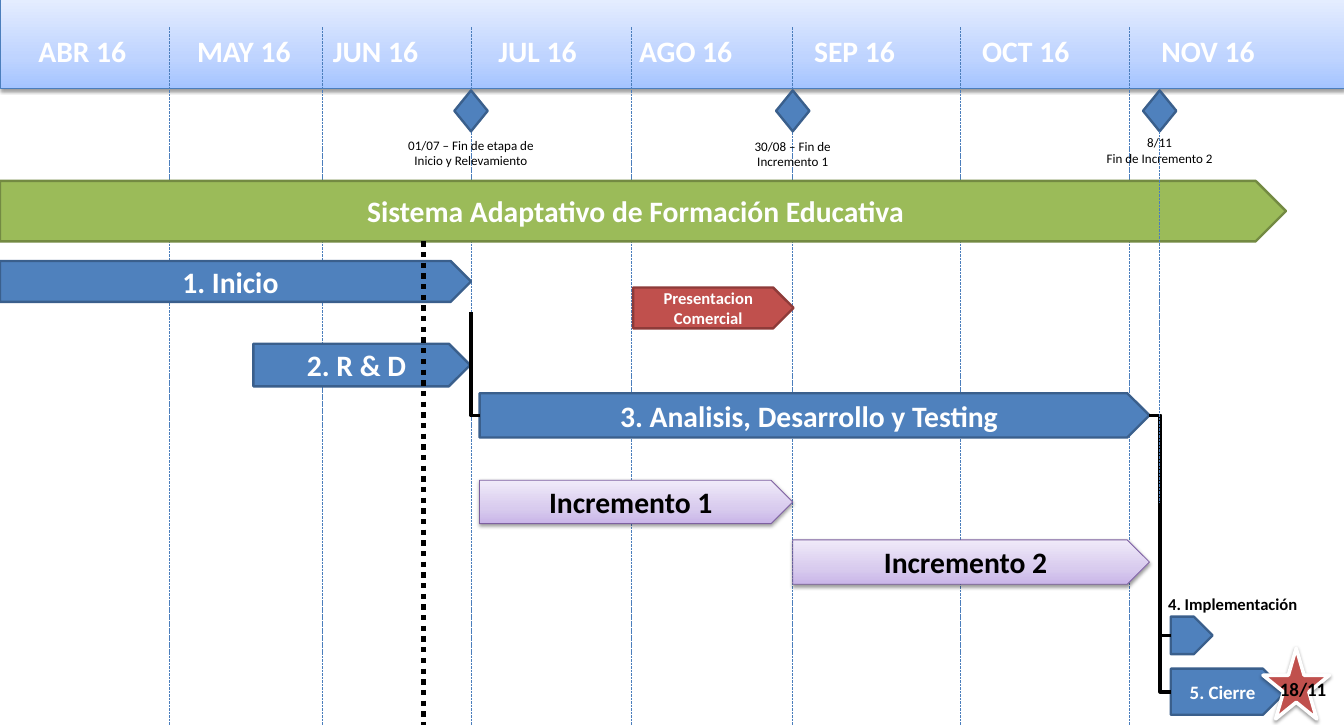
from copy import deepcopy
from dataclasses import dataclass
from typing import Optional

from lxml.etree import SubElement
from pptx import Presentation
from pptx.dml.color import RGBColor
from pptx.enum.dml import MSO_LINE
from pptx.enum.shapes import MSO_CONNECTOR, MSO_SHAPE
from pptx.enum.text import MSO_ANCHOR, MSO_AUTO_SIZE, PP_ALIGN
from pptx.oxml.ns import qn
from pptx.util import Inches, Pt

COLORS = {
    "white": "FFFFFF", "black": "000000", "grid": "4B7EBC",
    "blue": "4F81BD", "blue_edge": "3A5F8C",
    "green": "9BBB59", "green_edge": "738A42",
    "red": "C0504D", "red_edge": "8E3B39", "purple_edge": "7D60A0",
    "sky_0": "A4C4FF", "sky_1": "BFD4FF", "sky_2": "E6EEFF",
    "lilac_0": "C9B5E8", "lilac_1": "D8CBEE", "lilac_2": "F0EAF9",
}
GRADIENTS = ("sky", "lilac")
FONT = "Calibri"
WIDTH, HEIGHT = 15.75, 8.5
GRID_TOP = 0.32
WIDE_INSET = (0.14, 0.07)
BOX_INSET = (0.1, 0.05)


@dataclass
class Month:
    text: str
    left: float
    grid: Optional[float] = None


@dataclass
class Bar:
    text: str
    left: float
    top: float
    width: float
    height: float
    fill: str = "blue"
    edge: str = "blue_edge"
    size: int = 25
    color: str = "white"


@dataclass
class Milestone:
    lines: tuple
    center: float
    text_top: float


MONTHS = [
    Month("ABR 16", 0.31, 1.98), Month("MAY 16", 2.17, 3.78),
    Month("JUN 16", 3.76, 5.52), Month("JUL 16", 5.7, 7.4),
    Month("AGO 16", 7.35, 9.29), Month("SEP 16", 9.4, 11.26),
    Month("OCT 16", 11.37, 13.23), Month("NOV 16", 13.47),
]
BARS = [
    Bar("Sistema Adaptativo de Formación Educativa", 0, 2.12, 15.07, 0.71, "green", "green_edge"),
    Bar("1. Inicio", 0, 3.06, 5.52, 0.48),
    Bar("2. R & D", 2.97, 4.03, 2.54, 0.5),
    Bar("3. Analisis, Desarrollo y Testing", 5.62, 4.61, 7.85, 0.52),
    Bar("", 13.72, 7.23, 0.49, 0.44),
    Bar("5. Cierre", 13.72, 7.84, 1.35, 0.54, size=16),
    Bar("Incremento 1", 5.62, 5.63, 3.67, 0.51, "lilac", "purple_edge", color="black"),
    Bar("Incremento 2", 9.29, 6.33, 4.18, 0.52, "lilac", "purple_edge", color="black"),
    Bar("Presentacion Comercial", 7.42, 3.37, 1.88, 0.48, "red", "red_edge", 14),
]
MILESTONES = [
    Milestone(("01/07 – Fin de etapa de Inicio y Relevamiento",), 5.52, 1.56),
    Milestone(("30/08 – Fin de Incremento 1",), 9.29, 1.57),
    Milestone(("8/11", "Fin de Incremento 2"), 13.59, 1.53),
]


def rgb(name: str) -> RGBColor:
    return RGBColor.from_string(COLORS[name])


def add_shadow(sp) -> None:
    effects = sp._element.spPr.find(qn("a:effectLst"))
    shadow = SubElement(effects, qn("a:outerShdw"), blurRad="40000", dist="20000",
                        dir="5400000", rotWithShape="0")
    color = SubElement(shadow, qn("a:srgbClr"), val=COLORS["black"])
    SubElement(color, qn("a:alpha"), val="38000")


def add_gradient(sp, name: str) -> None:
    sp.fill.gradient()
    sp.fill.gradient_angle = 90
    stops = sp._element.spPr.find(".//" + qn("a:gsLst"))
    stops.append(deepcopy(stops[0]))
    for i, (stop, position) in enumerate(zip(sp.fill.gradient_stops, (0, 0.35, 1))):
        stop.color.rgb = rgb(f"{name}_{i}")
        stop.position = position


def add_figure(s, kind, left: float, top: float, width: float, height: float,
               fill: str, edge: str, weight: float = 2, shadow: bool = False):
    sp = s.shapes.add_shape(kind, Inches(left), Inches(top), Inches(width), Inches(height))
    sp.shadow.inherit = False
    if fill in GRADIENTS:
        add_gradient(sp, fill)
    else:
        sp.fill.solid()
        sp.fill.fore_color.rgb = rgb(fill)
    sp.line.color.rgb = rgb(edge)
    sp.line.width = Pt(weight)
    if shadow:
        add_shadow(sp)
    return sp


def write(sp, *lines: str, size: int, color: str = "black", bold: bool = True,
          align=PP_ALIGN.LEFT, anchor=MSO_ANCHOR.TOP, inset: tuple = BOX_INSET) -> None:
    tf = sp.text_frame
    tf.word_wrap = True
    tf.vertical_anchor = anchor
    tf.margin_left = tf.margin_right = Inches(inset[0])
    tf.margin_top = tf.margin_bottom = Inches(inset[1])
    for i, line in enumerate(lines):
        p = tf.add_paragraph() if i else tf.paragraphs[0]
        p.alignment = align
        r = p.add_run()
        r.text = line
        r.font.name = FONT
        r.font.size = Pt(size)
        r.font.bold = bold
        r.font.color.rgb = rgb(color)


def add_label(s, left: float, top: float, width: float, height: float, *lines: str, **style) -> None:
    sp = s.shapes.add_textbox(Inches(left), Inches(top), Inches(width), Inches(height))
    write(sp, *lines, **style)
    sp.text_frame.auto_size = MSO_AUTO_SIZE.SHAPE_TO_FIT_TEXT


def add_line(s, x1: float, y1: float, x2: float, y2: float, color: str = "grid",
             weight: float = 0.75, dash=None, kind=MSO_CONNECTOR.STRAIGHT):
    line = s.shapes.add_connector(kind, Inches(x1), Inches(y1), Inches(x2), Inches(y2))
    line.line.color.rgb = rgb(color)
    line.line.width = Pt(weight)
    if dash is not None:
        line.line.dash_style = dash
    SubElement(line._element.spPr, qn("a:effectLst"))
    return line


def add_elbow(s, x1: float, y1: float, x2: float, y2: float, bend: int = 50000):
    line = add_line(s, x1, y1, x2, y2, "black", 3, kind=MSO_CONNECTOR.ELBOW)
    guides = line._element.spPr.find(".//" + qn("a:avLst"))
    SubElement(guides, qn("a:gd"), name="adj1", fmla=f"val {bend}")
    return line


def add_bar(s, bar: Bar):
    soft = bar.fill in GRADIENTS
    sp = add_figure(s, MSO_SHAPE.PENTAGON, bar.left, bar.top, bar.width, bar.height,
                    bar.fill, bar.edge, 0.75 if soft else 2, soft)
    if bar.text:
        write(sp, bar.text, size=bar.size, color=bar.color, align=PP_ALIGN.CENTER,
              anchor=MSO_ANCHOR.MIDDLE, inset=WIDE_INSET)
    return sp


def add_milestone(s, milestone: Milestone):
    sp = add_figure(s, MSO_SHAPE.DIAMOND, milestone.center - 0.195, 1.06, 0.39, 0.48,
                    "blue", "blue_edge")
    add_label(s, milestone.center - 0.92, milestone.text_top, 1.84, 0.47, *milestone.lines,
              size=11, bold=False, align=PP_ALIGN.CENTER)
    return sp


def main() -> None:
    prs = Presentation()
    prs.slide_width, prs.slide_height = Inches(WIDTH), Inches(HEIGHT)
    s = prs.slides.add_slide(prs.slide_layouts[6])

    add_figure(s, MSO_SHAPE.RECTANGLE, 0, -0.03, WIDTH, 1.07, "sky", "grid", 0.75, True)
    for month in MONTHS:
        add_label(s, month.left, 0.32, 1.86, 0.56, month.text,
                  size=25, color="white", inset=WIDE_INSET)
        if month.grid is not None:
            add_line(s, month.grid, GRID_TOP, month.grid, HEIGHT, dash=MSO_LINE.SQUARE_DOT)

    bars = [add_bar(s, bar) for bar in BARS]
    development, rollout, closing = bars[3:6]
    add_figure(s, MSO_SHAPE.STAR_5_POINT, 14.8, 7.6, 0.78, 0.83, "red", "white", 3, True)

    add_elbow(s, 5.52, 3.66, 5.62, 4.87, 0).end_connect(development, 1)
    for target, y in ((rollout, 7.45), (closing, 8.11)):
        elbow = add_elbow(s, 13.47, 4.87, 13.72, y)
        elbow.begin_connect(development, 3)
        elbow.end_connect(target, 1)

    add_label(s, 13.59, 6.91, 1.79, 0.34, "4. Implementación", size=14)
    add_label(s, 14.9, 7.9, 0.79, 0.37, "18/11", size=16)
    add_line(s, 4.96, 2.83, 4.96, HEIGHT, "black", 4.5, MSO_LINE.ROUND_DOT)

    diamonds = [add_milestone(s, milestone) for milestone in MILESTONES]
    delivery = add_line(s, 13.59, 1.54, 13.59, 5.89, dash=MSO_LINE.SQUARE_DOT)
    delivery.begin_connect(diamonds[-1], 2)

    prs.save("out.pptx")


if __name__ == "__main__":
    main()
